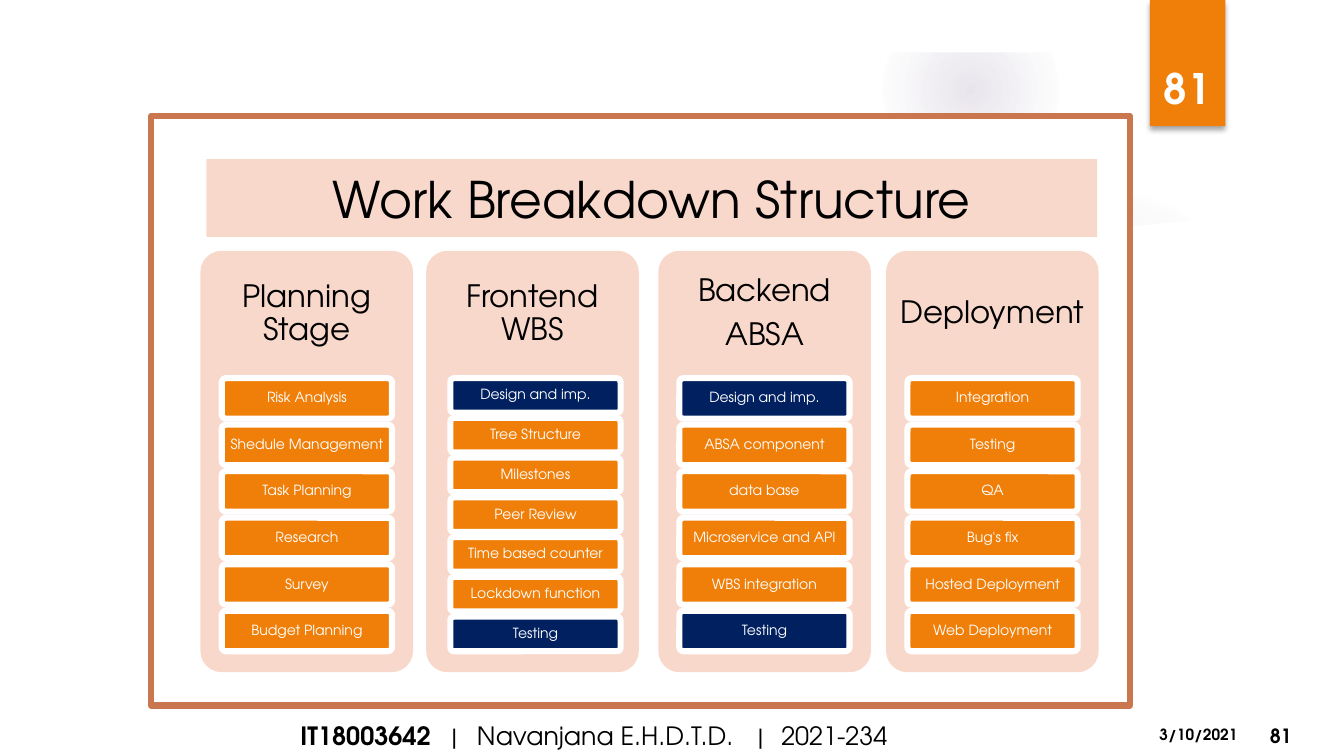
from pptx import Presentation
from pptx.dml.color import RGBColor
from pptx.enum.shapes import MSO_SHAPE
from pptx.enum.text import MSO_ANCHOR, PP_ALIGN
from pptx.oxml import parse_xml
from pptx.oxml.ns import nsdecls, qn
from pptx.util import Cm, Pt

RECTANGLE = MSO_SHAPE.RECTANGLE
ROUNDED = MSO_SHAPE.ROUNDED_RECTANGLE
OVAL = MSO_SHAPE.OVAL
MIDDLE = MSO_ANCHOR.MIDDLE
LEFT, CENTER, RIGHT = PP_ALIGN.LEFT, PP_ALIGN.CENTER, PP_ALIGN.RIGHT

FONT = "TeX Gyre Adventor"
WHITE, BLACK = "FFFFFF", "000000"
ORANGE, NAVY, PEACH, COPPER = "F07F09", "002060", "F9D8CC", "CA7750"


def paint(shape, fill, line=None):
    shape.shadow.inherit = False
    shape.fill.solid()
    shape.fill.fore_color.rgb = RGBColor.from_string(fill)
    if line:
        shape.line.color.rgb = RGBColor.from_string(line)
        shape.line.width = Pt(4.33)
    else:
        shape.line.fill.background()


def write(box, lines, size, color=BLACK, align=CENTER, bold=False, margins=(0.25, 0.13), spacing=None):
    frame = box.text_frame
    frame.word_wrap = True
    frame.vertical_anchor = MIDDLE
    frame.margin_left = frame.margin_right = Cm(margins[0])
    frame.margin_top = frame.margin_bottom = Cm(margins[1])
    for index, line in enumerate(lines):
        para = frame.add_paragraph() if index else frame.paragraphs[0]
        para.text = line
        para.alignment = align
        para.font.name = FONT
        para.font.size = Pt(size)
        para.font.bold = bold
        para.font.color.rgb = RGBColor.from_string(color)
        if spacing:
            para.line_spacing = spacing
            para.space_after = Pt(round(size * 0.35, 1))


deck = Presentation()
deck.slide_width, deck.slide_height = Cm(33.87), Cm(19.05)
page = deck.slides.add_slide(deck.slide_layouts[6])
shapes = page.shapes

glows = [
    (23.9, 4.65, 7.82, [(0, 7), (36, 6), (69, 0)]),
    (22.23, 0.03, 4.45, [(0, 14), (36, 7), (73, 0)]),
]
for left, top, diameter, stops in glows:
    glow = shapes.add_shape(OVAL, Cm(left), Cm(top), Cm(diameter), Cm(diameter))
    paint(glow, WHITE)
    stop_xml = "".join(
        f'<a:gs pos="{place * 1000}"><a:srgbClr val="604878">'
        f'<a:alpha val="{alpha * 1000}"/></a:srgbClr></a:gs>'
        for place, alpha in stops
    )
    gradient = parse_xml(
        f'<a:gradFill {nsdecls("a")}><a:gsLst>{stop_xml}</a:gsLst><a:path path="circle">'
        '<a:fillToRect l="50000" t="50000" r="50000" b="50000"/></a:path></a:gradFill>'
    )
    properties = glow._element.spPr
    properties.replace(properties.find(qn("a:solidFill")), gradient)

wave = [(21.34, 6.27), (24.1, 6.12), (26.92, 5.84), (29.77, 5.59), (32.61, 5.18), (32.61, 17.78), (21.34, 17.78)]
points = [(Cm(x), Cm(y)) for x, y in wave]
builder = shapes.build_freeform(*points[0])
builder.add_line_segments(points[1:], close=True)
paint(builder.convert_to_shape(), WHITE)

top_band = shapes.add_shape(RECTANGLE, 0, 0, deck.slide_width, Cm(1.32))
paint(top_band, WHITE)

ribbon = shapes.add_shape(RECTANGLE, Cm(28.98), 0, Cm(1.9), Cm(3.18))
paint(ribbon, ORANGE)
ribbon._element.spPr.find(qn("a:effectLst")).append(parse_xml(
    f'<a:outerShdw {nsdecls("a")} blurRad="50800" dist="38100" dir="5400000" rotWithShape="0">'
    '<a:srgbClr val="000000"><a:alpha val="35000"/></a:srgbClr></a:outerShdw>'
))

labels = [
    ("3/10/2021", 28.7, 17.98, 2.74, 1.07, 11, BLACK, RIGHT),
    ("81", 31.75, 17.96, 1.24, 1.14, 14, BLACK, LEFT),
    ("81", 28.96, 1.27, 1.93, 1.9, 30, WHITE, CENTER),
]
for text, left, top, width, height, size, color, align in labels:
    label = shapes.add_textbox(Cm(left), Cm(top), Cm(width), Cm(height))
    write(label, [text], size, color, align, bold=True)

footer = shapes.add_textbox(Cm(7.32), Cm(18.03), Cm(18.92), Cm(1.02))
footer_para = footer.text_frame.paragraphs[0]
tabs = "".join(
    f'<a:tab pos="{Cm(place)}" algn="{align}"/>'
    for place, align in [(3.88, "ctr"), (4.45, "l"), (11.6, "ctr"), (12.12, "l")]
)
footer_para._p.get_or_add_pPr().append(parse_xml(f'<a:tabLst {nsdecls("a")}>{tabs}</a:tabLst>'))
write(footer, ["IT18003642"], 18, align=LEFT)
footer_para.runs[0].font.bold = True
span = footer_para.add_run()
span.text = "\t|\tNavanjana E.H.D.T.D.\t|\t2021-234"

chart_frame = shapes.add_shape(RECTANGLE, Cm(3.81), Cm(2.92), Cm(24.66), Cm(14.86))
paint(chart_frame, WHITE, COPPER)

title = shapes.add_shape(RECTANGLE, Cm(5.2), Cm(4.01), Cm(22.45), Cm(1.96))
paint(title, PEACH)
write(title, ["Work Breakdown Structure"], 36)

columns = [
    (5.05, 5.59, ["Planning Stage"], [], [
        "Risk Analysis", "Shedule Management", "Task Planning", "Research", "Survey", "Budget Planning"]),
    (10.74, 11.35, ["Frontend WBS"], ["Design and imp.", "Testing"], [
        "Design and imp.", "Tree Structure", "Milestones", "Peer Review", "Time based counter",
        "Lockdown function", "Testing"]),
    (16.59, 17.12, ["Backend", "ABSA"], ["Design and imp.", "Testing"], [
        "Design and imp.", "ABSA component", "data base", "Microservice and API", "WBS integration", "Testing"]),
    (22.33, 22.87, ["Deployment"], [], [
        "Integration", "Testing", "QA", "Bug's fix", "Hosted Deployment", "Web Deployment"]),
]
TASKS_TOP, TASKS_HEIGHT, GAP_RATIO = 9.53, 6.88, 0.15

for panel_left, task_left, heading_lines, navy_tasks, tasks in columns:
    panel = shapes.add_shape(ROUNDED, Cm(panel_left), Cm(6.32), Cm(5.36), Cm(10.62))
    panel.adjustments[0] = 0.1
    paint(panel, PEACH)
    heading = shapes.add_textbox(Cm(panel_left), Cm(6.32), Cm(5.36), Cm(3.18))
    write(heading, heading_lines, 22, margins=(0.23, 0.23), spacing=0.9)

    task_height = TASKS_HEIGHT / (len(tasks) + (len(tasks) - 1) * GAP_RATIO)
    for row, task in enumerate(tasks):
        task_top = TASKS_TOP + row * task_height * (1 + GAP_RATIO)
        card = shapes.add_shape(ROUNDED, Cm(task_left), Cm(task_top), Cm(4.29), Cm(task_height))
        card.adjustments[0] = 0.1
        paint(card, NAVY if task in navy_tasks else ORANGE, WHITE)
        write(card, [task], 10, WHITE, margins=(0.1, 0.08), spacing=0.9)

deck.save("out.pptx")
